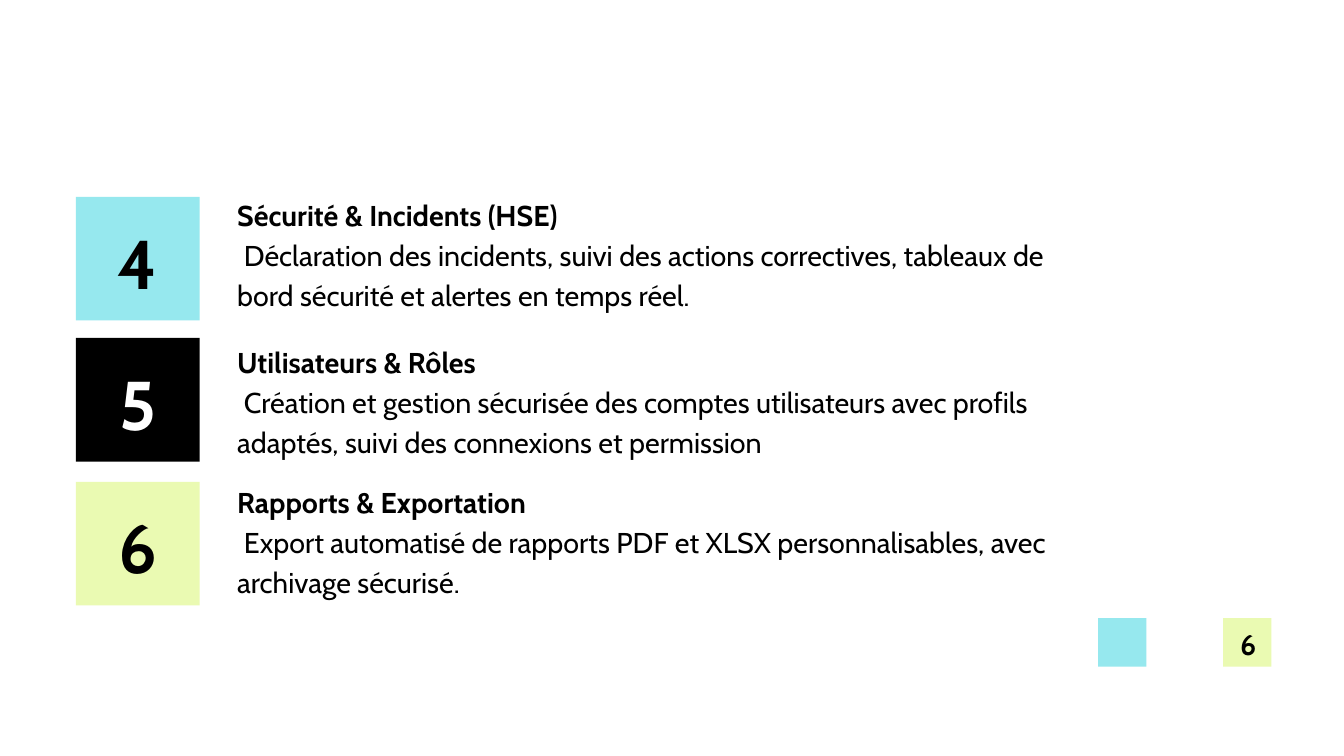
from dataclasses import dataclass

from pptx import Presentation
from pptx.dml.color import RGBColor
from pptx.enum.shapes import MSO_SHAPE
from pptx.enum.text import MSO_AUTO_SIZE, PP_ALIGN
from pptx.slide import Slide
from pptx.text.text import TextFrame
from pptx.util import Inches, Pt

RECTANGLE = MSO_SHAPE.RECTANGLE
CENTER, LEFT = PP_ALIGN.CENTER, PP_ALIGN.LEFT
NO_AUTOFIT = MSO_AUTO_SIZE.NONE

BLACK = RGBColor(0x00, 0x00, 0x00)
WHITE = RGBColor(0xFF, 0xFF, 0xFF)
CYAN = RGBColor(0x96, 0xE8, 0xEE)
LIME = RGBColor(0xEA, 0xFA, 0xB2)

FONT = "Cabin"
BODY_SIZE, BODY_SPACING = 30.7, 43
NUMBER_SIZE, NUMBER_SPACING = 73.8, 103.4
FIRST_LINE_INDENT = 0.1

TILE_LEFT, TILE_SIZE = 1.13, 1.84
NUMBER_OFFSET, NUMBER_HEIGHT = 0.14, 1.38
TEXT_LEFT, TEXT_WIDTH, TEXT_HEIGHT = 3.53, 12.4, 1.76
MARKER_TOP, MARKER_SIZE = 9.2, 0.72
PAGE_MARKER_LEFT, PLAIN_MARKER_LEFT = 18.2, 16.34


@dataclass(frozen=True)
class Feature:
    number: str
    heading: str
    description: str
    tile_top: float
    text_top: float
    fill: RGBColor
    number_color: RGBColor = BLACK


FEATURES = [
    Feature("4", "Sécurité & Incidents (HSE)",
            "Déclaration des incidents, suivi des actions correctives, "
            "tableaux de bord sécurité et alertes en temps réel.",
            2.93, 2.86, CYAN),
    Feature("5", "Utilisateurs & Rôles",
            "Création et gestion sécurisée des comptes utilisateurs avec "
            "profils adaptés, suivi des connexions et permission",
            5.03, 5.04, BLACK, WHITE),
    Feature("6", "Rapports & Exportation",
            "Export automatisé de rapports PDF et XLSX personnalisables, "
            "avec archivage sécurisé.",
            7.17, 7.13, LIME),
]


def add_square(slide: Slide, left: float, top: float, size: float,
               color: RGBColor) -> None:
    shape = slide.shapes.add_shape(RECTANGLE, Inches(left), Inches(top),
                                   Inches(size), Inches(size))
    shape.shadow.inherit = False
    shape.fill.solid()
    shape.fill.fore_color.rgb = color
    shape.line.fill.background()


def add_text_box(slide: Slide, left: float, top: float, width: float,
                 height: float) -> TextFrame:
    box = slide.shapes.add_textbox(Inches(left), Inches(top),
                                   Inches(width), Inches(height))
    frame = box.text_frame
    frame.word_wrap = True
    frame.auto_size = NO_AUTOFIT
    frame.margin_left = frame.margin_right = 0
    frame.margin_top = frame.margin_bottom = 0
    return frame


def write(frame: TextFrame, text: str, *, size: float = BODY_SIZE,
          spacing: float = BODY_SPACING, color: RGBColor = BLACK,
          bold: bool = True, align: PP_ALIGN = LEFT,
          indent: float = 0) -> None:
    """Fill the empty first paragraph, or append a new one."""
    paragraph = frame.paragraphs[0] if not frame.text else frame.add_paragraph()
    paragraph.alignment = align
    paragraph.line_spacing = Pt(spacing)
    if indent:
        paragraph._p.get_or_add_pPr().set("indent", str(Inches(indent)))
    run = paragraph.add_run()
    run.text = text
    run.font.name = FONT
    run.font.size = Pt(size)
    run.font.bold = bold
    run.font.color.rgb = color


def add_feature(slide: Slide, feature: Feature) -> None:
    add_square(slide, TILE_LEFT, feature.tile_top, TILE_SIZE, feature.fill)
    number = add_text_box(slide, TILE_LEFT, feature.tile_top + NUMBER_OFFSET,
                          TILE_SIZE, NUMBER_HEIGHT)
    write(number, feature.number, size=NUMBER_SIZE, spacing=NUMBER_SPACING,
          color=feature.number_color, align=CENTER)
    body = add_text_box(slide, TEXT_LEFT, feature.text_top,
                        TEXT_WIDTH, TEXT_HEIGHT)
    write(body, feature.heading)
    write(body, feature.description, bold=False, indent=FIRST_LINE_INDENT)


def main() -> None:
    presentation = Presentation()
    presentation.slide_width = Inches(20)
    presentation.slide_height = Inches(11.25)
    blank_layout = presentation.slide_layouts[6]
    slide = presentation.slides.add_slide(blank_layout)

    add_square(slide, PAGE_MARKER_LEFT, MARKER_TOP, MARKER_SIZE, LIME)
    add_square(slide, PLAIN_MARKER_LEFT, MARKER_TOP, MARKER_SIZE, CYAN)
    for feature in FEATURES:
        add_feature(slide, feature)
    page_number = add_text_box(slide, 18.22, 9.24, 0.71, 0.57)
    write(page_number, "6", align=CENTER)

    presentation.save("out.pptx")


if __name__ == "__main__":
    main()
